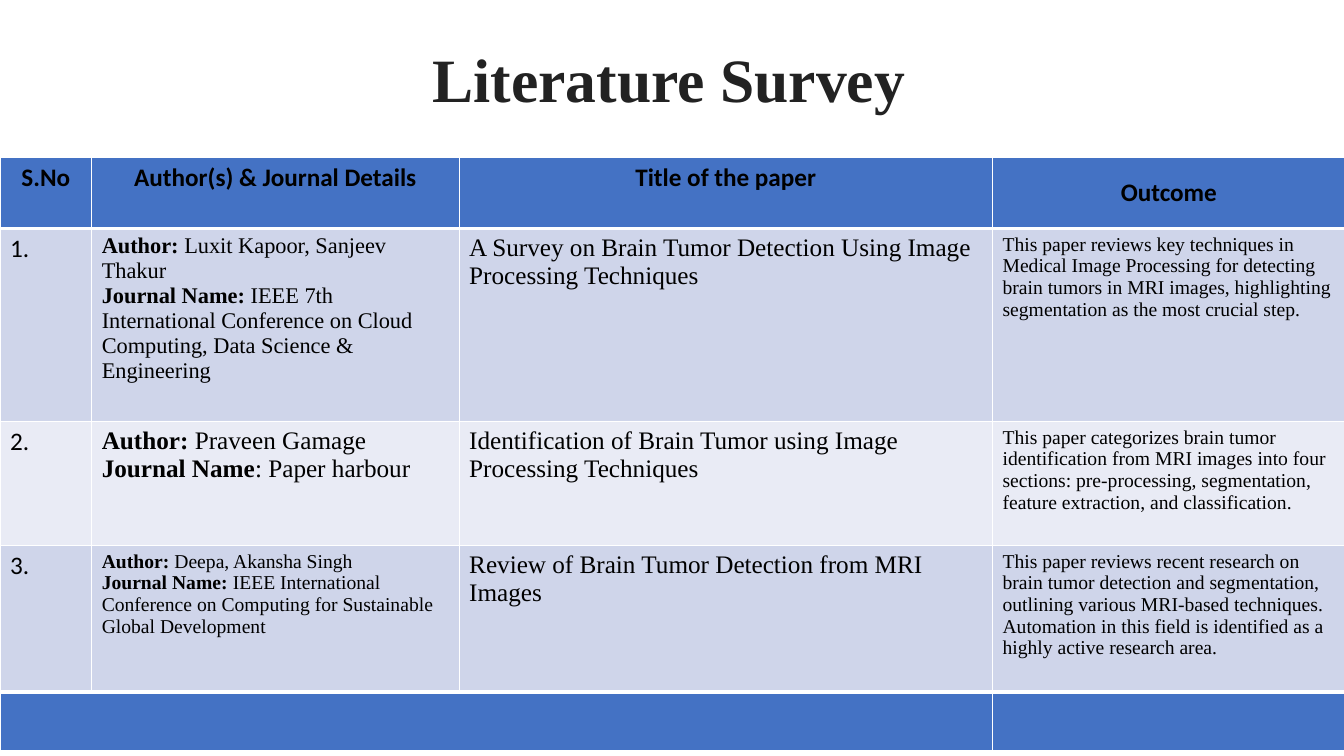
from pptx import Presentation
from pptx.dml.color import RGBColor
from pptx.enum.text import MSO_ANCHOR as Anchor, PP_ALIGN as Align
from pptx.oxml import parse_xml
from pptx.oxml.ns import nsdecls
from pptx.util import Pt

BLACK = RGBColor(0x00, 0x00, 0x00)
CHARCOAL = RGBColor(0x22, 0x22, 0x22)
WHITE = RGBColor(0xFF, 0xFF, 0xFF)
BLUE = RGBColor(0x44, 0x72, 0xC4)
BANDS = (RGBColor(0xCF, 0xD5, 0xEA), RGBColor(0xE9, 0xEB, 0xF5))
SERIF, SANS = "Times New Roman", "Calibri"

COLUMN_WIDTHS = (65.5, 262.5, 381, 252)
ROW_HEIGHTS = (51, 138, 88.5, 104.5, 42)
HEADINGS = ("S.No", "Author(s) & Journal Details", "Title of the paper", "Outcome")

# Authors, journal label and name, size of the details, paper title, outcome
PAPERS = (
    ("Luxit Kapoor, Sanjeev Thakur",
     "Journal Name: ",
     "IEEE 7th International Conference on Cloud Computing, Data Science & Engineering",
     16,
     "A Survey on Brain Tumor Detection Using Image Processing Techniques",
     "This paper reviews key techniques in Medical Image Processing for detecting "
     "brain tumors in MRI images, highlighting segmentation as the most crucial step."),
    ("Praveen Gamage",
     "Journal Name",
     ": Paper harbour",
     18,
     "Identification of Brain Tumor using Image Processing Techniques",
     "This paper categorizes brain tumor identification from MRI images into four "
     "sections: pre-processing, segmentation, feature extraction, and classification."),
    ("Deepa, Akansha Singh",
     "Journal Name: ",
     "IEEE International Conference on Computing for Sustainable Global Development",
     14,
     "Review of Brain Tumor Detection from MRI Images",
     "This paper reviews recent research on brain tumor detection and segmentation, "
     "outlining various MRI-based techniques. Automation in this field is identified "
     "as a highly active research area."),
)


def add_span(para, text, size, font=SERIF, bold=False, color=BLACK):
    span = para.add_run()
    span.text = text
    for name, value in {"size": Pt(size), "name": font, "bold": bold}.items():
        setattr(span.font, name, value)
    span.font.color.rgb = color


def add_title(page, text):
    title = page.shapes.title
    box = {"left": 64, "top": 16, "width": 828, "height": 86}
    for name, value in box.items():
        setattr(title, name, Pt(value))
    title.text_frame.vertical_anchor = Anchor.MIDDLE
    para = title.text_frame.paragraphs[0]
    para.alignment = Align.CENTER
    para.line_spacing = 0.9
    add_span(para, text, 44, bold=True, color=CHARCOAL)


def style_cell(cell, fill, top=1, bottom=1):
    properties = cell._tc.get_or_add_tcPr()
    for side, width in {"L": 1, "R": 1, "T": top, "B": bottom}.items():
        properties.append(parse_xml(
            f'<a:ln{side} {nsdecls("a")} w="{Pt(width)}"><a:solidFill>'
            f'<a:srgbClr val="{WHITE}"/></a:solidFill></a:ln{side}>'))
    cell.fill.solid()
    cell.fill.fore_color.rgb = fill


def fill_header(table):
    for column, heading in enumerate(HEADINGS):
        cell = table.cell(0, column)
        style_cell(cell, BLUE, bottom=3)
        is_last = column == len(HEADINGS) - 1
        cell.vertical_anchor = Anchor.MIDDLE if is_last else Anchor.TOP
        para = cell.text_frame.paragraphs[0]
        para.alignment = Align.CENTER
        add_span(para, heading, 18, SANS, bold=True)


def fill_paper(table, row, paper):
    authors, journal_label, journal, size, paper_title, outcome = paper
    cells = [table.cell(row, column) for column in range(len(HEADINGS))]
    is_last = row == len(PAPERS)
    for cell in cells:
        style_cell(cell, BANDS[(row - 1) % 2],
                   top=3 if row == 1 else 1, bottom=3 if is_last else 1)
    number, details, name, result = [cell.text_frame for cell in cells]
    add_span(number.paragraphs[0], f"{row}.", 18, SANS)
    author_para, journal_para = details.paragraphs[0], details.add_paragraph()
    for para, label, text in ((author_para, "Author: ", authors),
                              (journal_para, journal_label, journal)):
        add_span(para, label, size, bold=True)
        add_span(para, text, size)
    add_span(name.paragraphs[0], paper_title, 18)
    add_span(result.paragraphs[0], outcome, 14)


def fill_footer(table):
    row = len(ROW_HEIGHTS) - 1
    for column in range(len(HEADINGS)):
        style_cell(table.cell(row, column), BLUE, top=3)
    table.cell(row, 0).merge(table.cell(row, 2))


def add_survey_table(page):
    frame = page.shapes.add_table(
        len(ROW_HEIGHTS), len(COLUMN_WIDTHS), Pt(0), Pt(112.3),
        Pt(sum(COLUMN_WIDTHS)), Pt(sum(ROW_HEIGHTS)))
    table = frame.table
    for column, width in zip(table.columns, COLUMN_WIDTHS):
        column.width = Pt(width)
    for row, height in zip(table.rows, ROW_HEIGHTS):
        row.height = Pt(height)
    fill_header(table)
    for row, paper in enumerate(PAPERS, start=1):
        fill_paper(table, row, paper)
    fill_footer(table)


def main():
    deck = Presentation()
    deck.slide_width, deck.slide_height = Pt(960), Pt(540)
    page = deck.slides.add_slide(deck.slide_layouts[5])
    add_title(page, "Literature Survey")
    add_survey_table(page)
    deck.save("out.pptx")


if __name__ == "__main__":
    main()
